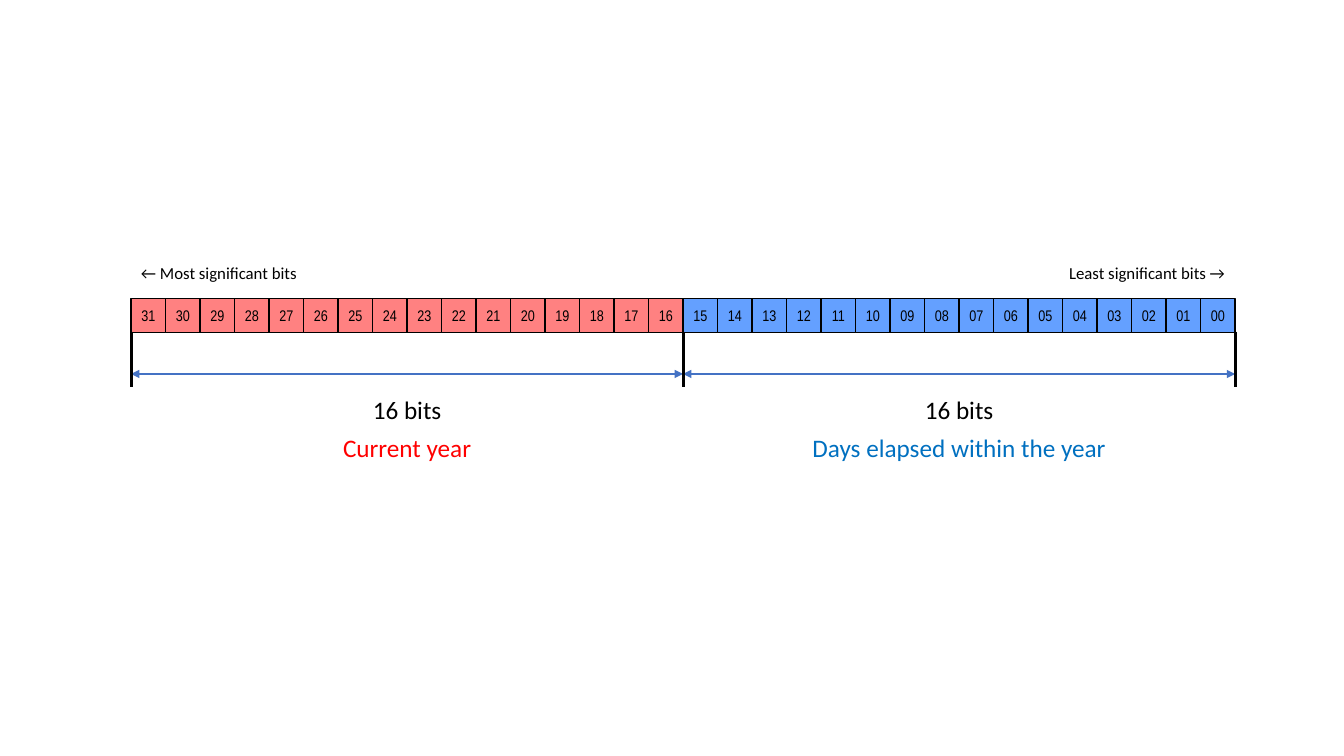
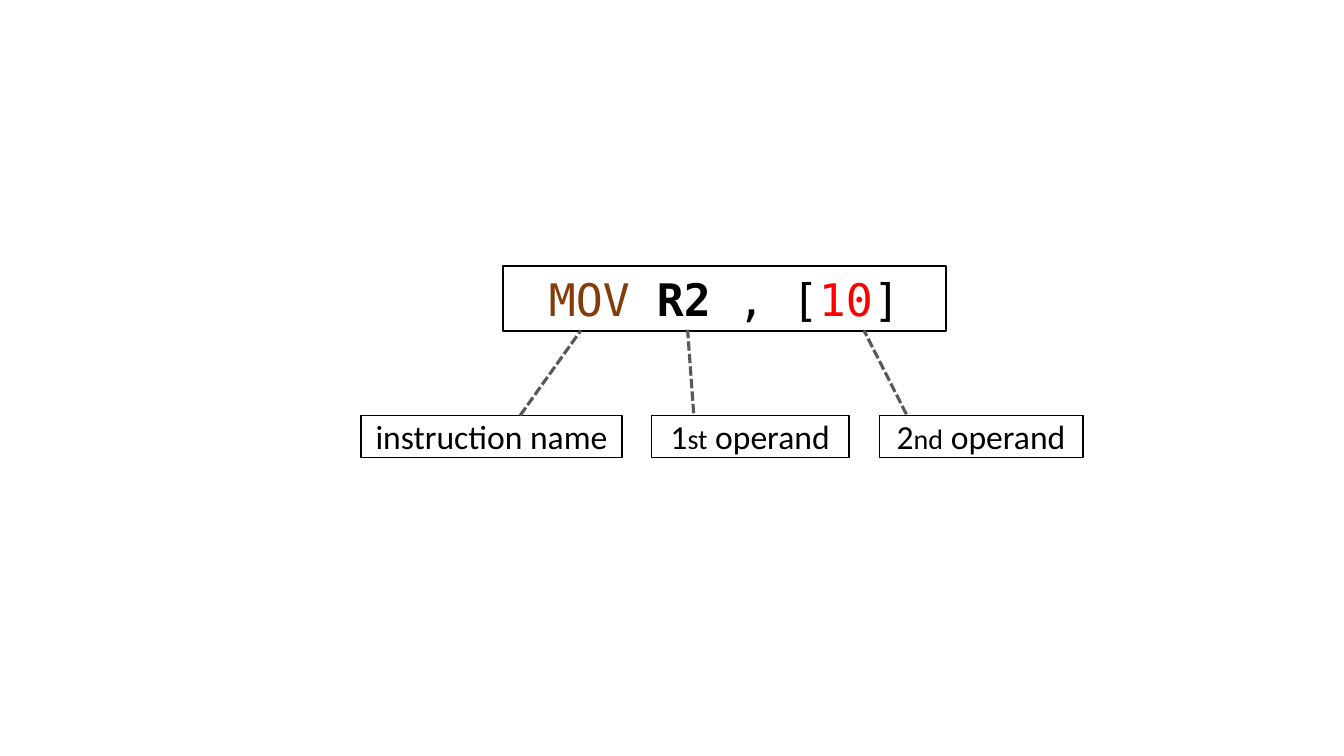
import lxml.etree
import pptx
import pptx.dml.color
import pptx.enum.dml
import pptx.enum.shapes
import pptx.enum.text
import pptx.oxml.ns
import pptx.util

Inches = pptx.util.Inches
Align = pptx.enum.text.PP_ALIGN

THEME = {
    "black": "000000", "white": "FFFFFF", "grey": "595959", "arrow": "4472C4",
    "rose": "FF8181", "sky": "64A0FF", "red": "FF0000", "blue": "0070C0",
    "brown": "843C0B",
    "sans": "Calibri", "narrow": "Arial Narrow", "mono": "DejaVu Sans Mono",
    "bit": 11, "note": 12, "field": 18, "minor": 20, "label": 24, "code": 32,
    "thin": 1, "frame": 1.5, "thick": 2.25,
}

FIELDS = [
    (16, "16 bits", "Current year", "rose", "red"),
    (16, "16 bits", "Days elapsed within the year", "sky", "blue"),
]
NOTES = [("← Most significant bits", Align.LEFT),
         ("Least significant bits →", Align.RIGHT)]
LEFT, RIGHT, TOP = 1.3, 12.25, 2.96

CODE = [("MOV ", "brown", False), ("R2 ", "black", True),
        (", [", "black", False), ("10", "red", False), ("]", "black", False)]
PARTS = [
    ([("instruction name", "label")], 3.58, 2.59, (5.16, 4.12), (5.76, 3.28)),
    ([("1", "label"), ("st", "minor"), (" operand", "label")],
     6.46, 1.96, (6.88, 4.1), (6.82, 3.27)),
    ([("2", "label"), ("nd", "minor"), (" operand", "label")],
     8.72, 2.02, (8.99, 4.11), (8.57, 3.28)),
]


def tint(name):
    return pptx.dml.color.RGBColor.from_string(THEME[name])


def style(run, size, color="black", font="sans", bold=False):
    run.font.name = THEME[font]
    run.font.size = pptx.util.Pt(THEME[size])
    run.font.color.rgb = tint(color)
    run.font.bold = bold


def write(shape, runs, align=Align.CENTER, pad=(0.1, 0.05)):
    frame = shape.text_frame
    frame.word_wrap = True
    frame.vertical_anchor = pptx.enum.text.MSO_ANCHOR.MIDDLE
    frame.margin_left = frame.margin_right = Inches(pad[0])
    frame.margin_top = frame.margin_bottom = Inches(pad[1])
    para = frame.paragraphs[0]
    para.alignment = align
    for text, look in runs:
        run = para.add_run()
        run.text = text
        style(run, **look)


def box(slide, area, runs, fill=None, width="thin", pad=(0, 0)):
    shape = slide.shapes.add_shape(pptx.enum.shapes.MSO_SHAPE.RECTANGLE,
                                   *map(Inches, area))
    shape.shadow.inherit = False
    if fill:
        shape.fill.solid()
        shape.fill.fore_color.rgb = tint(fill)
    else:
        shape.fill.background()
    shape.line.color.rgb = tint("black")
    shape.line.width = pptx.util.Pt(THEME[width])
    write(shape, runs, pad=pad)


def label(slide, area, text, size, color="black", align=Align.CENTER):
    shape = slide.shapes.add_textbox(*map(Inches, area))
    write(shape, [(text, {"size": size, "color": color})], align)


def link(slide, start, end, color, width, dash=False, arrows=False):
    wire = slide.shapes.add_connector(pptx.enum.shapes.MSO_CONNECTOR.STRAIGHT,
                                      *map(Inches, start + end))
    wire.line.color.rgb = tint(color)
    wire.line.width = pptx.util.Pt(THEME[width])
    if dash:
        wire.line.dash_style = pptx.enum.dml.MSO_LINE.SQUARE_DOT
    props = wire.element.spPr
    qn = pptx.oxml.ns.qn
    if arrows:
        for tip in ("a:headEnd", "a:tailEnd"):
            lxml.etree.SubElement(props.find(qn("a:ln")), qn(tip),
                                  type="triangle")
    lxml.etree.SubElement(props, qn("a:effectLst"))


def draw_bits(slide):
    total = sum(field[0] for field in FIELDS)
    cell = (RIGHT - LEFT) / total
    bit, x = total, LEFT
    ends = [LEFT]
    for count, size, name, fill, color in FIELDS:
        span = count * cell
        for i in range(count):
            bit -= 1
            look = {"size": "bit", "font": "narrow"}
            box(slide, (x + i * cell, TOP, cell, cell),
                [(f"{bit:02}", look)], fill, pad=(0.1, 0.05))
        link(slide, (x, 3.71), (x + span, 3.71), "arrow", "thin", arrows=True)
        label(slide, (x, 3.86, span, 0.4), size, "field")
        label(slide, (x, 4.24, span, 0.4), name, "field", color)
        x += span
        ends.append(x)
    for end in ends:
        link(slide, (end, 3.29), (end, 3.84), "black", "thick")
    wide = 8 * cell
    for (text, align), left in zip(NOTES, (LEFT, RIGHT - wide)):
        label(slide, (left, 2.56, wide, 0.3), text, "note", align=align)


def draw_code(slide):
    runs = [(text, {"size": "code", "color": color, "font": "mono",
                    "bold": bold}) for text, color, bold in CODE]
    box(slide, (4.99, 2.64, 4.39, 0.64), runs, width="frame")
    for texts, left, wide, start, end in PARTS:
        runs = [(text, {"size": size}) for text, size in texts]
        box(slide, (left, 4.12, wide, 0.42), runs, "white")
        link(slide, start, end, "grey", "thick", dash=True)


def main():
    deck = pptx.Presentation()
    deck.slide_width, deck.slide_height = Inches(13.33), Inches(7.5)
    for draw in (draw_bits, draw_code):
        draw(deck.slides.add_slide(deck.slide_layouts[6]))
    deck.save("out.pptx")


if __name__ == "__main__":
    main()
